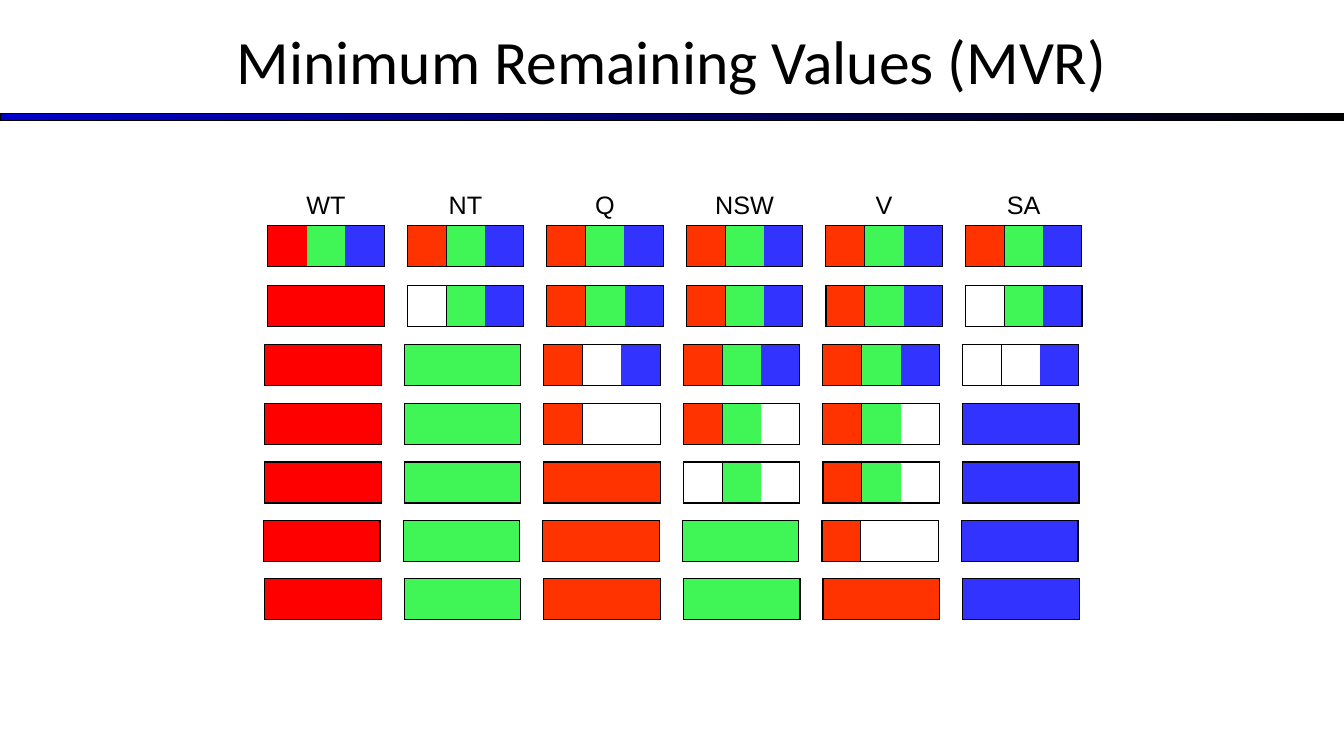
from lxml import etree
from pptx import Presentation
from pptx import util as u
from pptx.dml.color import RGBColor
from pptx.enum import shapes, text
from pptx.oxml.ns import qn

PX = 9525  # 96 px to the inch
THIRD, GAP, HIGH = 37, 22, 39
PLAIN = "{2D5ABB26-0587-4C30-8999-92F81FD0307C}"  # no style, no grid
HUES = {"R": "FF0000", "r": "FF3300", "g": "40F656", "b": "3333FF"}

# Left, top and the values left for each state; "-" is a value ruled out
STATES = ["WT", "NT", "Q", "NSW", "V", "SA"]
STEPS = [
    (255, 176, "Rgb rgb rgb rgb rgb rgb"),
    (255, 272, "R -gb rgb rgb rgb -gb"),
    (252, 328, "R g r-b rgb rgb --b"),
    (252, 384, "R g r-- rg- rg- b"),
    (252, 440, "R g r -g- rg- b"),
    (251, 496, "R g r g r-- b"),
    (252, 551, "R g r g r b"),
]


def rgb(code):
    return RGBColor.from_string(code)


class Deck:
    ink = "000000"

    def __init__(self):
        self.prs = Presentation()
        self.prs.slide_width, self.prs.slide_height = 1280 * PX, 720 * PX
        self.slide = self.prs.slides.add_slide(self.prs.slide_layouts[5])

    def label(self, frame, words, size, font):
        frame.text = words
        para = frame.paragraphs[0]
        para.alignment = text.PP_ALIGN.CENTER
        para.font.size, para.font.name = u.Pt(size), font
        para.font.color.rgb = rgb(self.ink)

    def title(self, words, x, y, w, h):
        box = self.slide.shapes.title
        box.left, box.top, box.width, box.height = (n * PX for n in (x, y, w, h))
        box.text_frame.vertical_anchor = text.MSO_ANCHOR.MIDDLE
        self.label(box.text_frame, words, 44, "Calibri")

    def bar(self, x, y, w, h, hues):
        bar = self.slide.shapes.add_shape(
            shapes.MSO_SHAPE.RECTANGLE, *(n * PX for n in (x, y, w, h)))
        bar.shadow.inherit = False
        bar.fill.gradient()
        bar.fill.gradient_angle = 0
        for stop, hue in zip(bar.fill.gradient_stops, hues):
            stop.color.rgb = rgb(hue)
        bar.line.color.rgb = rgb(self.ink)
        bar.line.width = u.Pt(0.75)

    def edge(self, cell, sides):
        props = cell._tc.get_or_add_tcPr()
        for side in sides:
            line = etree.SubElement(props, qn("a:ln" + side), w=str(u.Pt(1)))
            fill = etree.SubElement(line, qn("a:solidFill"))
            etree.SubElement(fill, qn("a:srgbClr"), val=self.ink)

    def paint(self, cell, hue=None):
        cell.margin_left = cell.margin_right = 0
        cell.margin_top = cell.margin_bottom = 0
        cell.vertical_anchor = text.MSO_ANCHOR.MIDDLE
        if hue:
            cell.fill.solid()
            cell.fill.fore_color.rgb = rgb(hue)
        else:
            cell.fill.background()

    def step(self, x, y, sets, heads=()):
        # Each column is a width, its borders and its fill
        cols, starts = [], []
        for vals in sets:
            if cols:
                cols.append((GAP, "LR", None))
            starts.append(len(cols))
            wide = 3 * THIRD // len(vals)
            for i, val in enumerate(vals):
                left = "L" if i == 0 else ""
                right = "R" if i == len(vals) - 1 else ""
                cols.append((wide, left + right + "TB", HUES.get(val)))

        # Table frame
        rows = 2 if heads else 1
        full = sum(col[0] for col in cols)
        frame = self.slide.shapes.add_table(
            rows, len(cols), x * PX, y * PX, full * PX, rows * HIGH * PX)
        grid = frame.table
        grid.first_row = grid.horz_banding = False
        grid._tbl.tblPr.find(qn("a:tableStyleId")).text = PLAIN
        for row in grid.rows:
            row.height = HIGH * PX

        # Value cells in the last row
        for c, (wide, sides, hue) in enumerate(cols):
            grid.columns[c].width = wide * PX
            cell = grid.cell(rows - 1, c)
            self.edge(cell, sides)
            self.paint(cell, hue)
            if heads:
                if "B" in sides:
                    self.edge(grid.cell(0, c), "B")
                self.paint(grid.cell(0, c))

        # State names above their values
        for c, name in zip(starts, heads):
            cell = grid.cell(0, c)
            cell.merge(grid.cell(0, c + 2))
            self.label(cell.text_frame, name, 18, "Arial")


def main():
    deck = Deck()
    # Heading
    deck.bar(0, 108, 1280, 7, ("0000CC", "000000"))
    deck.title("Minimum Remaining Values (MVR)", 0, -3, 1280, 120)
    # Search steps
    for i, (x, y, vals) in enumerate(STEPS):
        deck.step(x, y, vals.split(), STATES if i == 0 else ())
    deck.prs.save("out.pptx")


if __name__ == "__main__":
    main()
